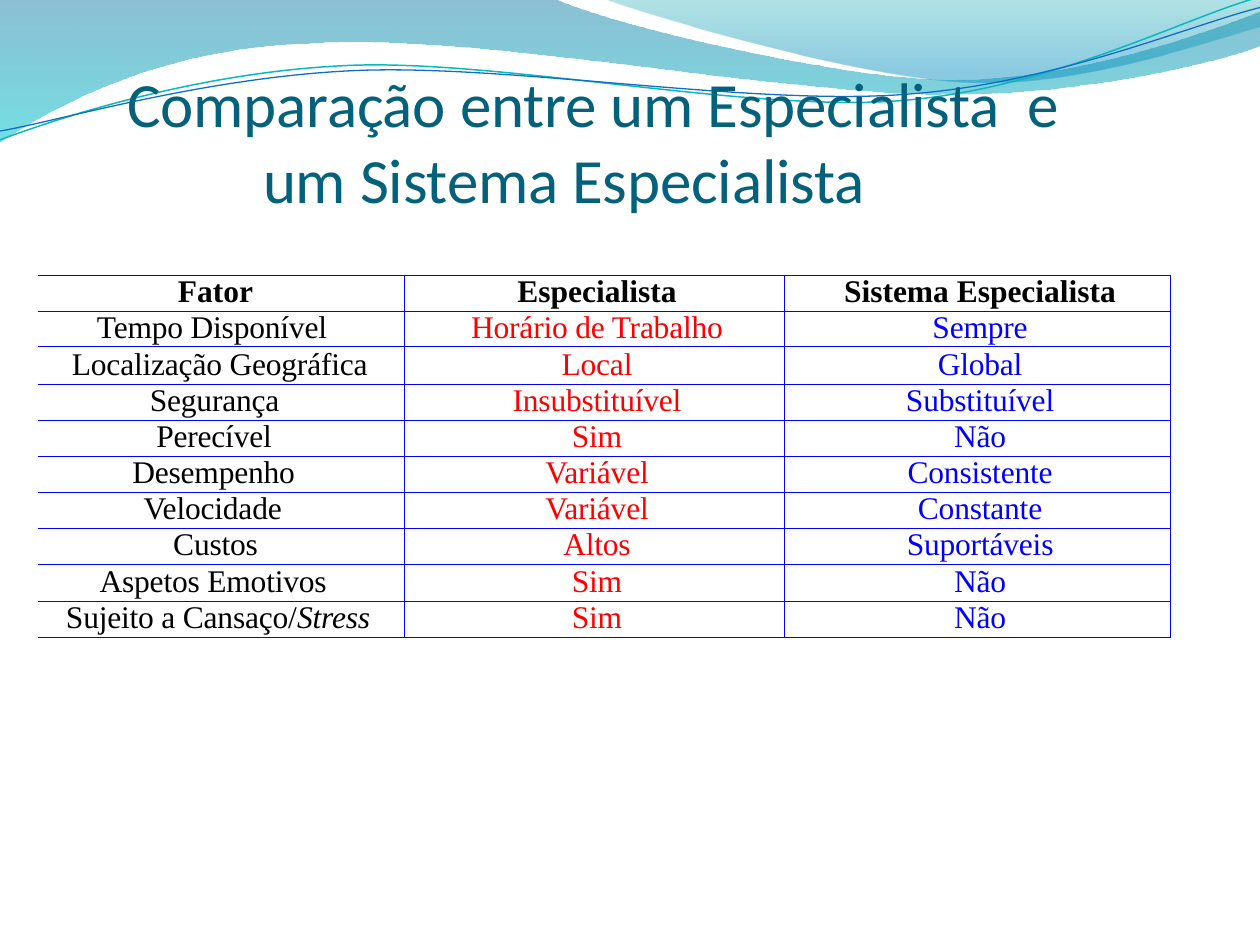
import math

import pptx
import pptx.dml.color
import pptx.enum.text
import pptx.oxml
import pptx.oxml.ns
import pptx.util

Pt = pptx.util.Pt
RGBColor = pptx.dml.color.RGBColor
ALIGN = pptx.enum.text.PP_ALIGN
NAMESPACE = pptx.oxml.ns.nsdecls("a")

DEEP_BLUE = RGBColor(0x00, 0x74, 0xA1)
AQUA = RGBColor(0x00, 0xC6, 0xCF)
TEAL = RGBColor(0x00, 0xA1, 0xA9)
SKY = RGBColor(0x00, 0x8B, 0xBF)
TEAL_LINE = RGBColor(0x0A, 0xB8, 0xBF)
BLUE_LINE = RGBColor(0x0F, 0x6F, 0xC6)
TITLE_COLOR = RGBColor(0x04, 0x61, 0x7B)
BLACK = RGBColor(0, 0, 0)
RED = RGBColor(0xFF, 0, 0)
BLUE = RGBColor(0, 0, 0xFF)

# Outlines: pairs are line ends, sextuples are Bézier control points and end.
LEFT_WAVE = [
    (0, 0), (316.8, -0.7),
    (342.7, 12.2, 478.1, 45.4, 545.8, 45.4),
    (614.2, 45.4, 689.8, 18.7, 720, 6.5),
    (720.7, 25.9),
    (707.8, 31.7, 626.4, 54.7, 537.1, 54),
    (447.8, 54, 275, 20.2, 185, 24.5),
    (92.9, 25.9, 33.1, 59.8, -0.7, 81.4),
    (0, 0),
]
RIGHT_WAVE = [
    (344.9, -0.7),
    (366.5, 7.9, 491, 44.6, 553.7, 46.8),
    (616.3, 49.7, 691.9, 23, 720, 15.1),
    (720, 0), (344.9, -0.7),
]
TEAL_CURVE = [
    (0, 79.9),
    (34.6, 67, 113.8, 41, 199.4, 37.4),
    (284.4, 33.8, 427, 64.1, 513.4, 57.6),
    (599.8, 51.1, 675.4, 10.8, 718.6, -1.4),
]
BLUE_CURVE = [
    (0, 74.9),
    (33.8, 69.1, 118.1, 43.9, 203.8, 40.3),
    (290.2, 36.7, 429.8, 60.5, 516.2, 54),
    (601.9, 48.2, 677.5, 15.1, 720, 4.3),
]
CURVE_TILT = -2.7

# Each row starts with the alignment and inset of its factor.
# An asterisk marks where italics begin.
COMPARISON = [
    (ALIGN.CENTER, 6.3, "Fator", "Especialista", "Sistema Especialista"),
    (ALIGN.LEFT, 33.8, "Tempo Disponível", "Horário de Trabalho", "Sempre"),
    (ALIGN.RIGHT, 21, "Localização Geográfica", "Local", "Global"),
    (ALIGN.LEFT, 64, "Segurança", "Insubstituível", "Substituível"),
    (ALIGN.LEFT, 67.7, "Perecível", "Sim", "Não"),
    (ALIGN.LEFT, 54, "Desempenho", "Variável", "Consistente"),
    (ALIGN.LEFT, 60.5, "Velocidade", "Variável", "Constante"),
    (ALIGN.CENTER, 6.3, "Custos", "Altos", "Suportáveis"),
    (ALIGN.LEFT, 35.3, "Aspetos Emotivos", "Sim", "Não"),
    (ALIGN.RIGHT, 19.6, "Sujeito a Cansaço/*Stress", "Sim", "Não"),
]
COLUMN_WIDTHS = (209.5, 217.2, 220.6)
COLUMN_COLORS = (BLACK, RED, BLUE)
ROW_HEIGHTS = (20.6, 20.2, 21.7, 20.5, 20.5, 20.5, 20.5, 20.5, 21.3, 20.5)


def turn(outline, degrees, center):
    """Rotate an outline clockwise about a centre."""
    cos, sin = math.cos(math.radians(degrees)), math.sin(math.radians(degrees))
    cx, cy = center
    turned = []
    for part in outline:
        coordinates = []
        for x, y in zip(part[::2], part[1::2]):
            coordinates += [cx + (x - cx) * cos - (y - cy) * sin,
                            cy + (x - cx) * sin + (y - cy) * cos]
        turned.append(tuple(coordinates))
    return turned


def tighten(paragraph):
    for run in paragraph.runs:
        run._r.get_or_add_rPr().set("spc", "-10")


class ComparisonSlide:
    title_font = "Calibri"
    table_font = "Times New Roman"

    def __init__(self, presentation):
        self.slide = presentation.slides.add_slide(presentation.slide_layouts[6])

    def outline(self, parts, close):
        """Build a freeform, joining each three control points into one Bézier."""
        points = [(Pt(x), Pt(y)) for part in parts for x, y in zip(part[::2], part[1::2])]
        builder = self.slide.shapes.build_freeform(*points[0])
        builder.add_line_segments(points[1:], close=close)
        shape = builder.convert_to_shape()
        shape.shadow.inherit = False
        segments = iter(shape.element.xpath(".//a:path/a:lnTo"))
        for part in parts[1:]:
            first = next(segments)
            if len(part) == 6:
                bezier = pptx.oxml.parse_xml(f"<a:cubicBezTo {NAMESPACE}/>")
                first.addprevious(bezier)
                for segment in (first, next(segments), next(segments)):
                    bezier.append(segment[0])
                    segment.getparent().remove(segment)
        return shape

    def wave(self, parts, stops):
        """Draw a closed area with (position, colour, opacity %) stops, top to bottom."""
        area = self.outline(parts, True)
        area.line.fill.background()
        area.fill.gradient()
        area.fill.gradient_angle = 270
        for stop, (position, color, _) in zip(area.fill.gradient_stops, stops):
            stop.position = position
            stop.color.rgb = color
        for color_node, (_, _, opacity) in zip(area.element.xpath(".//a:gs/a:srgbClr"), stops):
            color_node.append(pptx.oxml.parse_xml(
                f'<a:alpha {NAMESPACE} val="{opacity * 1000}"/>'))

    def curve(self, parts, center, color, width):
        stroke = self.outline(turn(parts, -CURVE_TILT, center), False)
        stroke.rotation = CURVE_TILT
        stroke.fill.background()
        stroke.line.color.rgb = color
        stroke.line.width = Pt(width)

    def title(self, text, left, top, width, height):
        frame = self.slide.shapes.add_textbox(
            Pt(left), Pt(top), Pt(width), Pt(height)).text_frame
        frame.word_wrap = True
        frame.vertical_anchor = pptx.enum.text.MSO_ANCHOR.BOTTOM
        frame.margin_left = frame.margin_top = frame.margin_right = frame.margin_bottom = 0
        heading = frame.paragraphs[0]
        heading.text = text
        properties = heading._p.get_or_add_pPr()
        properties.set("marL", str(Pt(78.3)))
        properties.set("indent", str(Pt(-77.6)))
        heading.font.name = self.title_font
        heading.font.size = Pt(36)
        heading.font.color.rgb = TITLE_COLOR
        tighten(heading)

    def border(self, cell, open_left):
        properties = cell._tc.get_or_add_tcPr()
        for index, side in enumerate("LRTB"):
            paint = ("<a:noFill/>" if side == "L" and open_left else
                     f'<a:solidFill><a:srgbClr val="{BLUE}"/></a:solidFill>')
            properties.insert(index, pptx.oxml.parse_xml(
                f'<a:ln{side} {NAMESPACE} w="{Pt(0.25)}">{paint}</a:ln{side}>'))

    def cell(self, cell, text, color, heading, alignment, side, inset, spacing):
        cell.margin_left = cell.margin_top = cell.margin_right = cell.margin_bottom = 0
        cell.fill.background()
        plain, _, emphasis = text.partition("*")
        entry = cell.text_frame.paragraphs[0]
        entry.add_run().text = plain
        if emphasis:
            run = entry.add_run()
            run.text = emphasis
            run.font.italic = True
        entry._p.get_or_add_pPr().set(side, str(Pt(inset)))
        entry.alignment = alignment
        entry.line_spacing = Pt(spacing)
        entry.font.name = self.table_font
        entry.font.size = Pt(18)
        entry.font.bold = heading
        entry.font.color.rgb = color
        if not heading:
            tighten(entry)

    def table(self, rows, left, top):
        table = self.slide.shapes.add_table(
            len(rows), len(COLUMN_WIDTHS), Pt(left), Pt(top),
            Pt(sum(COLUMN_WIDTHS)), Pt(sum(ROW_HEIGHTS))).table
        table.first_row = table.horz_banding = False
        for column, width in zip(table.columns, COLUMN_WIDTHS):
            column.width = Pt(width)
        for r, ((alignment, inset, *texts), height) in enumerate(zip(rows, ROW_HEIGHTS)):
            table.rows[r].height = Pt(height)
            spacing = 20.5 if height > 21 else 19.5
            factor_side = "marL" if alignment == ALIGN.LEFT else "marR"
            for c, text in enumerate(texts):
                placing = (alignment, factor_side, inset) if c == 0 else (ALIGN.CENTER, "marL", 3)
                color = COLUMN_COLORS[c] if r else BLACK
                self.cell(table.cell(r, c), text, color, r == 0, *placing, spacing)
                self.border(table.cell(r, c), c == 0)


def main():
    presentation = pptx.Presentation()
    presentation.slide_width, presentation.slide_height = Pt(720), Pt(540)
    page = ComparisonSlide(presentation)
    page.wave(LEFT_WAVE, [(0, DEEP_BLUE, 45), (1, AQUA, 55)])
    page.wave(RIGHT_WAVE, [(0, TEAL, 30), (0.8, SKY, 45)])
    page.curve(TEAL_CURVE, (359.3, 41.4), TEAL_LINE, 0.85)
    page.curve(BLUE_CURVE, (359.6, 42.5), BLUE_LINE, 0.75)
    page.title("Comparação entre um Especialista  e um Sistema Especialista",
               72, 35.3, 583.9, 88.2)
    page.table(COMPARISON, 21.6, 157.2)
    presentation.save("out.pptx")


if __name__ == "__main__":
    main()
